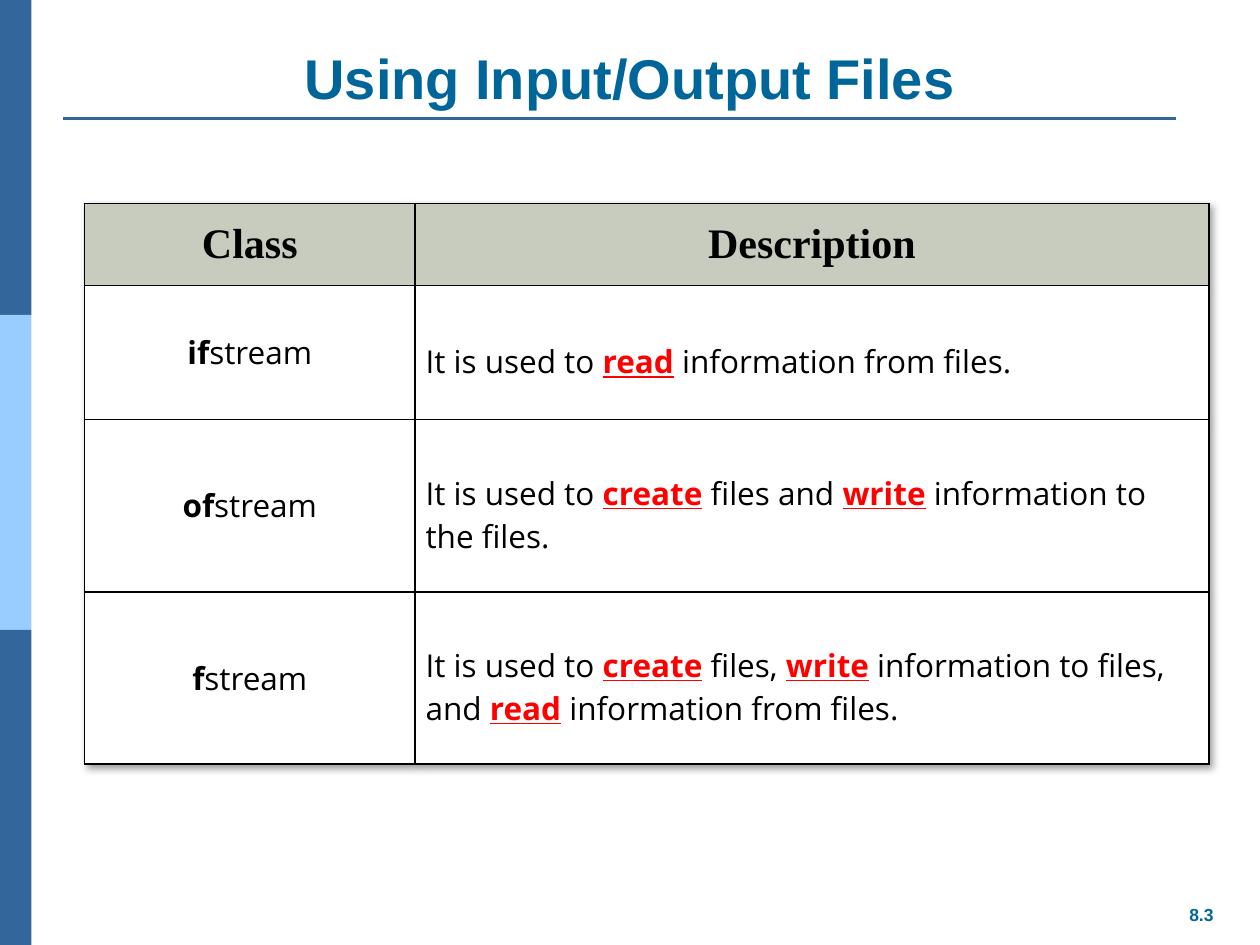
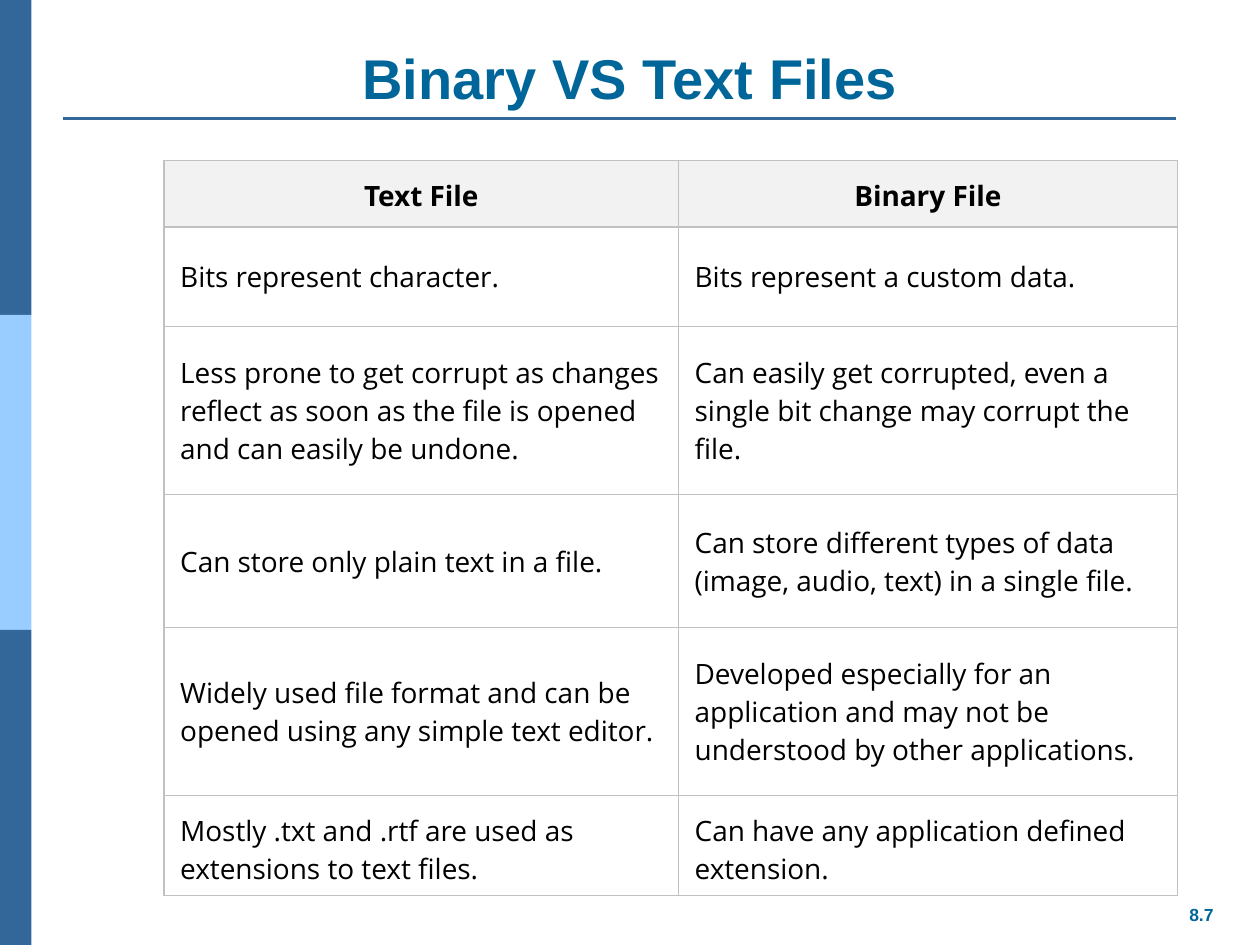
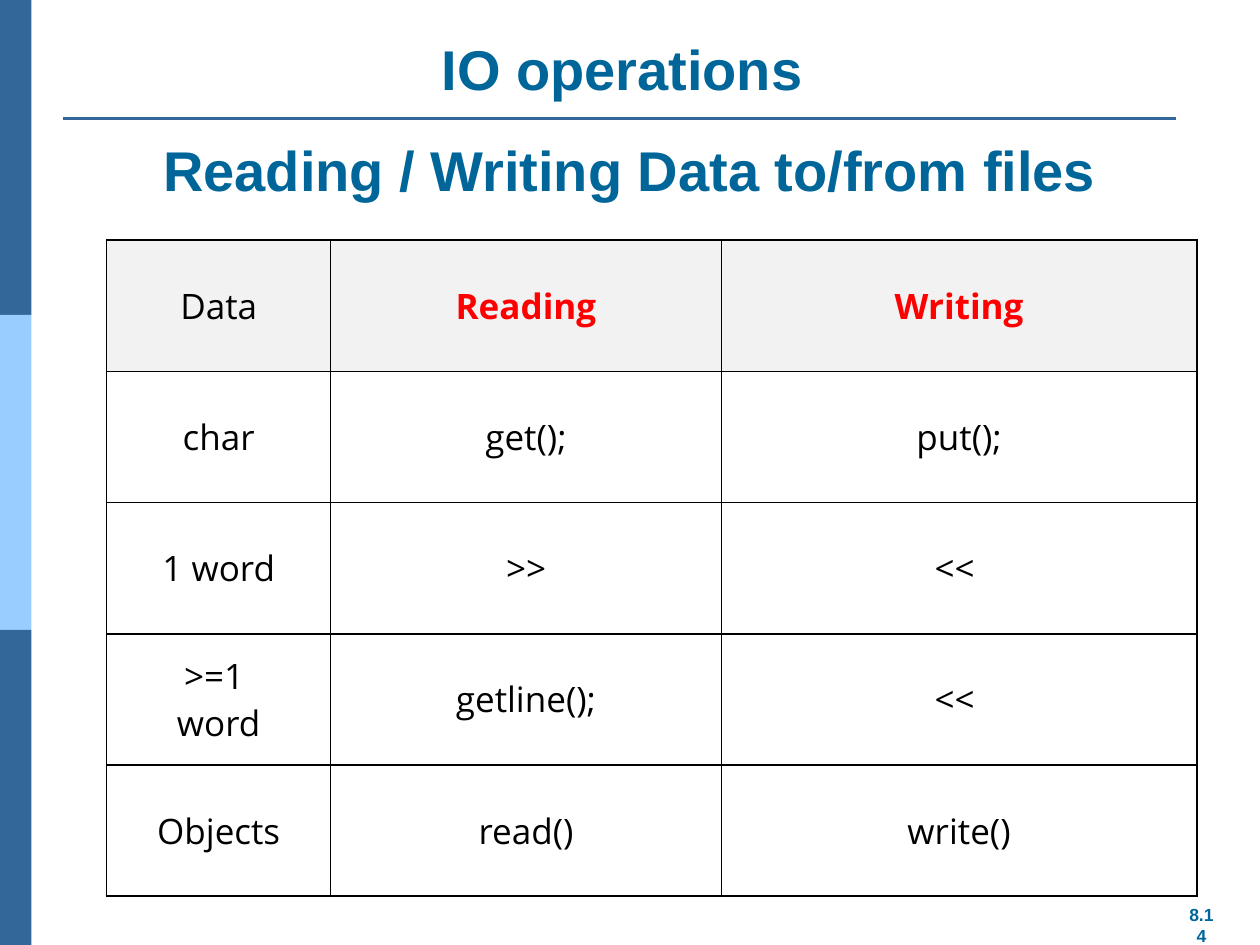
from lxml import etree
from pptx import Presentation
from pptx.dml import color
from pptx.enum import shapes, text
from pptx.oxml import ns
from pptx.util import Pt

NAVY, SKY, TEAL = "336699", "99CCFF", "006699"
BLACK, RED, WHITE, PALE = "000000", "FF0000", "FFFFFF", "F2F2F2"
SIDES = ("left", "right", "top", "bottom")
DRAWING = "http://schemas.openxmlformats.org/drawingml/2006/main"


def paint(fill, value):
    fill.solid()
    fill.fore_color.rgb = color.RGBColor.from_string(value)


def write(para, words, plain, strong):
    for index, piece in enumerate(words.split("*")):
        for number, line in enumerate(piece.split("\n")):
            if number:
                para.add_line_break()
            if not line:
                continue
            span = para.add_run()
            span.text = line
            formats = {**plain, **strong} if index % 2 else dict(plain)
            paint(span.font.fill, formats.pop("ink"))
            for name, value in formats.items():
                setattr(span.font, name, value)


title_font = {"name": "Arial", "size": Pt(32), "bold": True, "ink": TEAL}
number_font = {"name": "Arial", "size": Pt(10), "bold": True, "ink": TEAL}
strong_red = {"bold": True, "underline": True, "ink": RED}

pages = [
    {
        "title": "Using Input/Output Files", "title_top": 21.6, "spacing": 1, "number": "8.3",
        "left": 48.25, "top": 116.25, "columns": [189, 453.5], "rows": [47, 76.5, 98.5, 98.5],
        "border": BLACK, "border_width": 1, "header_fill": "C7CCBE", "shadow": True,
        "header": {"name": "Times New Roman", "size": Pt(24), "bold": True},
        "body": {"size": Pt(18)}, "inset": 6, "centred_columns": 1,
        "strong": [{"bold": True}, strong_red],
        "adjust": {(row, 1): {"margin_top": Pt(16)} for row in (1, 2, 3)},
        "cells": [
            ["Class", "Description"],
            ["*if*stream", "It is used to *read* information from files."],
            ["*of*stream", "It is used to *create* files and *write* information to the files."],
            ["*f*stream", "It is used to *create* files, *write* information to files, "
             "and *read* information from files."],
        ],
    },
    {
        "title": "Binary VS Text Files", "title_top": 21.6, "spacing": 1, "number": "8.7",
        "left": 93.75, "top": 91.75, "columns": [294, 285], "rows": [38, 57, 96, 76, 96, 57],
        "border": "C1C1C1", "border_width": 0.75, "header_fill": PALE, "shadow": False,
        "header": {"size": Pt(16), "bold": True},
        "body": {"size": Pt(16)}, "inset": 9.25, "centred_columns": 0,
        "strong": [{}, {}],
        "adjust": {(5, column): {"margin_bottom": Pt(4)} for column in (0, 1)},
        "cells": [
            ["Text File", "Binary File"],
            ["Bits represent character.", "Bits represent a custom data."],
            ["Less prone to get corrupt as changes reflect as soon as the file is opened "
             "and can easily be undone.",
             "Can easily get corrupted, even a single bit change may corrupt the file."],
            ["Can store only plain text in a file.",
             "Can store different types of data (image, audio, text) in a single file."],
            ["Widely used file format and can be opened using any simple text editor.",
             "Developed especially for an application and may not be understood "
             "by other applications."],
            ["Mostly .txt and .rtf are used as extensions to text files.",
             "Can have any application defined extension."],
        ],
    },
    {
        "title": "IO operations \nReading / Writing Data to/from files",
        "title_top": 74.15, "spacing": 1.5, "number": "8.14",
        "left": 61, "top": 137.25, "columns": [128, 223.25, 271.75], "rows": [75] * 5,
        "border": BLACK, "border_width": 1, "header_fill": PALE, "shadow": False,
        "header": {"size": Pt(20)},
        "body": {"size": Pt(20)}, "inset": 5, "centred_columns": 3,
        "strong": [{"bold": True, "ink": RED}] * 3,
        "adjust": {},
        "cells": [
            ["Data", "*Reading*", "*Writing*"],
            ["char", "get();", "put();"],
            ["1 word", ">>", "<< "],
            [">=1 \nword", "getline();", "<< "],
            ["Objects", "read()", "write()"],
        ],
    },
]

deck = Presentation()
deck.slide_width, deck.slide_height = Pt(720), Pt(540)
layout = deck.slide_layouts[5]
title_style = deck.slide_master.element.find(".//" + ns.qn("p:titleStyle"))
title_style.find(".//" + ns.qn("a:defRPr")).set("sz", "3200")

for index, content in enumerate(pages):
    page = deck.slides.add_slide(layout)

    if index == 0:
        for step, shade in enumerate((NAVY, SKY, NAVY)):
            band = page.shapes.add_shape(
                shapes.MSO_SHAPE.RECTANGLE, 0, Pt(180 * step), Pt(18), Pt(180))
            band.shadow.inherit = False
            band.line.fill.background()
            paint(band.fill, shade)
            layout.shapes.element.append(band.element)
        rule = page.shapes.add_connector(
            shapes.MSO_CONNECTOR.STRAIGHT, Pt(36), Pt(67.7), Pt(672), Pt(67.7))
        paint(rule.line.fill, NAVY)
        rule.line.width = Pt(1.5)
        etree.SubElement(rule.element.spPr, ns.qn("a:effectLst"))
        layout.shapes.element.append(rule.element)

    title = page.shapes.title
    title.left, title.top = Pt(36), Pt(content["title_top"])
    title.width, title.height = Pt(648), Pt(45.35)
    title.text_frame.auto_size = text.MSO_AUTO_SIZE.NONE
    title.text_frame.vertical_anchor = text.MSO_ANCHOR.BOTTOM
    para = title.text_frame.paragraphs[0]
    para.alignment = text.PP_ALIGN.CENTER
    para.line_spacing = content["spacing"]
    write(para, content["title"], title_font, {})

    box = page.shapes.add_textbox(Pt(671.75), Pt(512.75), Pt(29.5), Pt(18))
    box.text_frame.word_wrap = True
    para = box.text_frame.paragraphs[0]
    para.alignment = text.PP_ALIGN.CENTER
    write(para, content["number"], number_font, {})

    columns, rows = content["columns"], content["rows"]
    table = page.shapes.add_table(
        len(rows), len(columns), Pt(content["left"]), Pt(content["top"]),
        Pt(sum(columns)), Pt(sum(rows))).table
    table.first_row = table.horz_banding = False
    for column, width in zip(table.columns, columns):
        column.width = Pt(width)
    for row, height in zip(table.rows, rows):
        row.height = Pt(height)
    if content["shadow"]:
        table_format = table._tbl.tblPr
        table_format.insert(0, etree.fromstring(
            f'<a:effectLst xmlns:a="{DRAWING}">'
            '<a:outerShdw blurRad="50800" dist="38100" dir="2700000" algn="tl" rotWithShape="0">'
            '<a:srgbClr val="000000"><a:alpha val="40000"/></a:srgbClr>'
            '</a:outerShdw></a:effectLst>'))

    for row, entries in enumerate(content["cells"]):
        for column, words in enumerate(entries):
            cell = table.cell(row, column)
            cell.vertical_anchor = text.MSO_ANCHOR.MIDDLE
            margins = {f"margin_{side}": Pt(content["inset"]) for side in SIDES}
            margins.update(content["adjust"].get((row, column), {}))
            for name, value in margins.items():
                setattr(cell, name, value)
            cell_format = cell._tc.get_or_add_tcPr()
            for side in "LRTB":
                edge = etree.SubElement(
                    cell_format, ns.qn(f"a:ln{side}"), w=str(Pt(content["border_width"])))
                solid = etree.SubElement(edge, ns.qn("a:solidFill"))
                etree.SubElement(solid, ns.qn("a:srgbClr"), val=content["border"])
            paint(cell.fill, WHITE if row else content["header_fill"])
            para = cell.text_frame.paragraphs[0]
            centred = row == 0 or column < content["centred_columns"]
            para.alignment = text.PP_ALIGN.CENTER if centred else text.PP_ALIGN.LEFT
            plain = {"name": "Open Sans", "bold": False, "ink": BLACK,
                     **content["body" if row else "header"]}
            write(para, words, plain, content["strong"][column])

deck.save("out.pptx")
